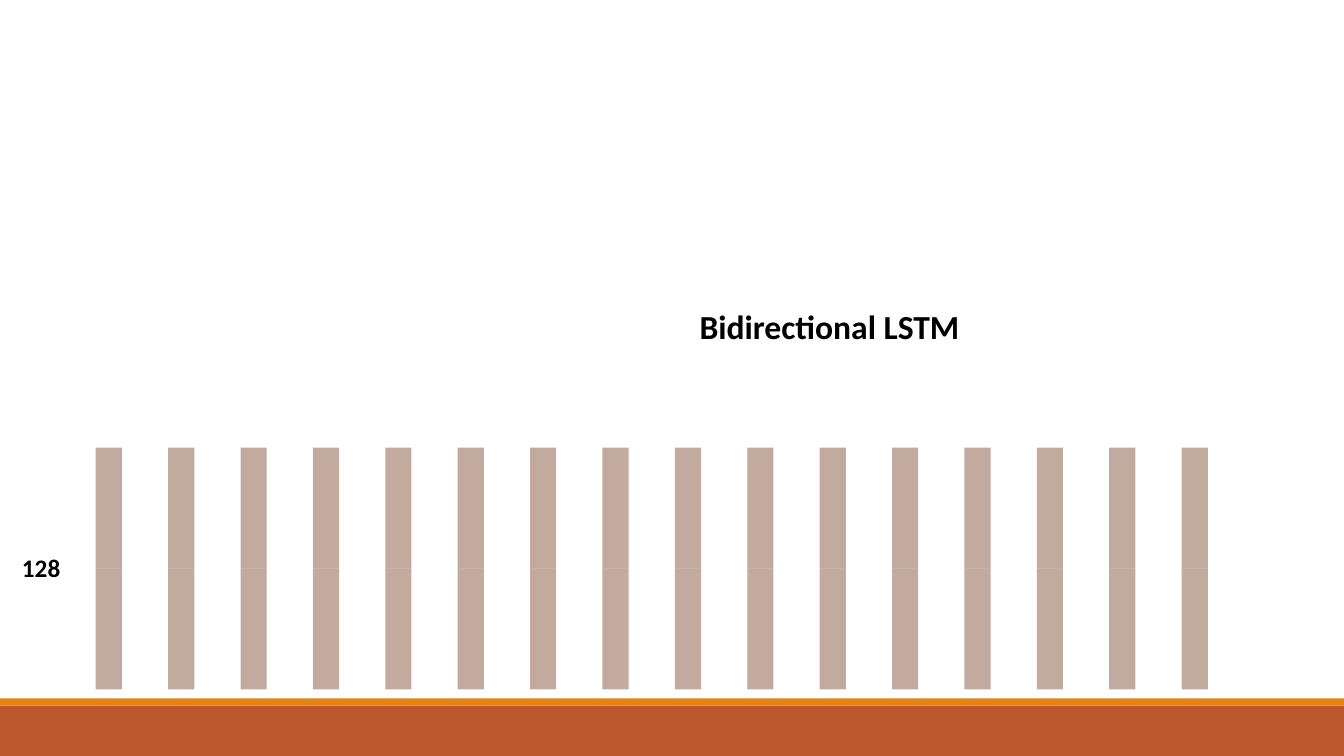
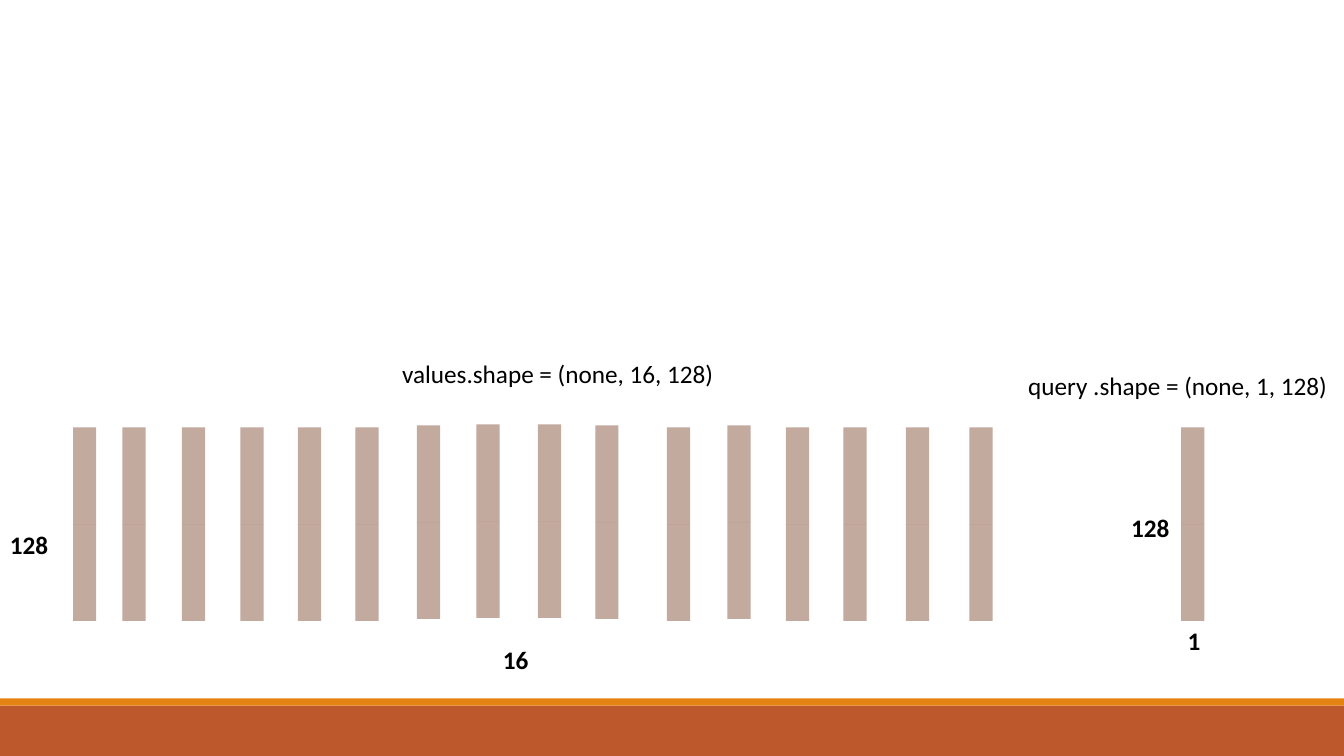
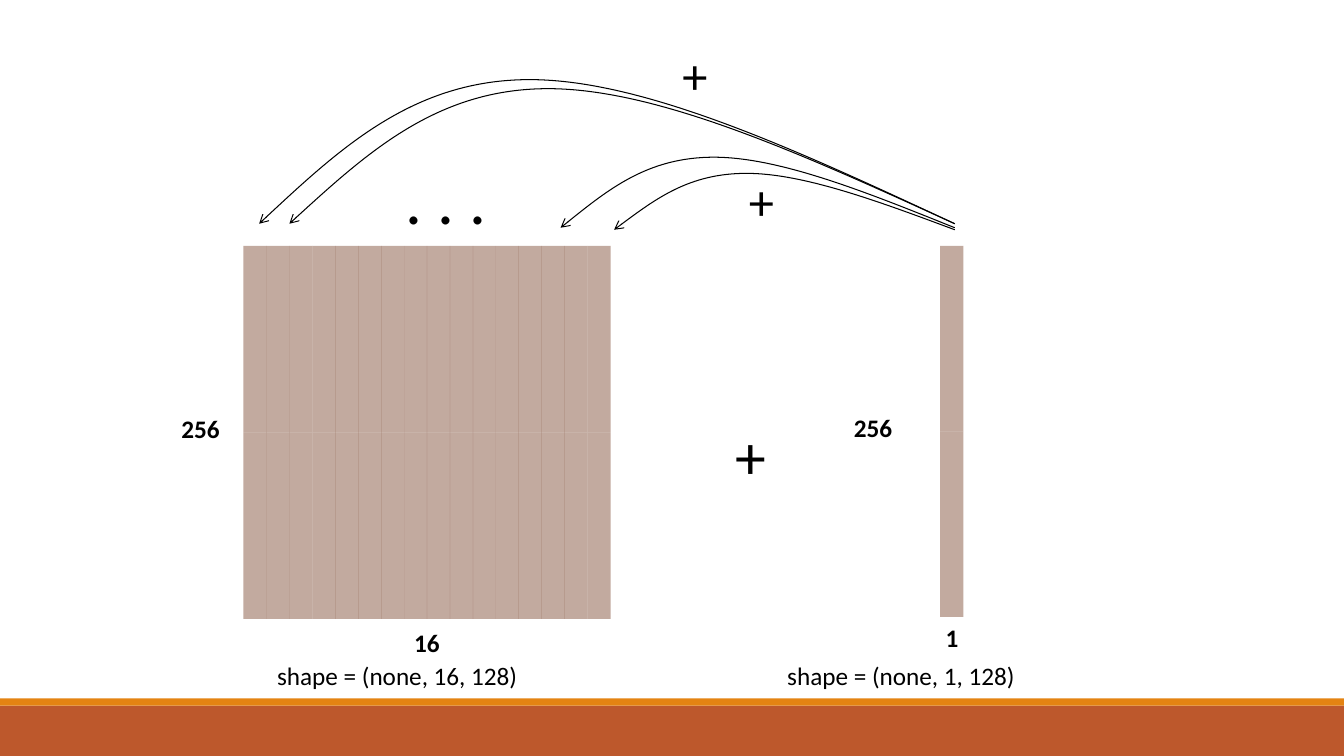
from dataclasses import dataclass

from pptx import Presentation
from pptx.dml.color import RGBColor
from pptx.enum.shapes import MSO_SHAPE
from pptx.oxml.ns import qn
from pptx.oxml.xmlchemy import OxmlElement
from pptx.presentation import Presentation as Deck
from pptx.shapes.autoshape import Shape
from pptx.slide import Slide
from pptx.util import Inches, Pt

FONT = "Calibri"
BLACK = RGBColor(0x00, 0x00, 0x00)
RUST = RGBColor(0xBD, 0x58, 0x2C)
ORANGE = RGBColor(0xE4, 0x83, 0x12)
BROWN = RGBColor(0x86, 0x56, 0x40)

SLIDE_WIDTH, SLIDE_HEIGHT = 13.33, 7.5
VECTOR_COUNT = 16


@dataclass(frozen=True)
class Vector:
    """A column of two stacked halves that meet at the height of joint."""
    center: float
    joint: float
    half_height: float
    width: float = 0.23


@dataclass(frozen=True)
class Label:
    text: str
    left: float
    top: float
    width: float
    height: float
    size: int = 18
    bold: bool = False
    wrap: bool = True


@dataclass(frozen=True)
class Arc:
    """An arched arrow that starts and ends at the height of base."""
    start: float
    end: float
    base: float
    peak: float


def dimension(text: str, left: float, top: float) -> Label:
    return Label(text, left, top, 0.66, 0.52, bold=True)


def symbol(text: str, left: float, top: float, width: float, height: float, size: int) -> Label:
    return Label(text, left, top, width, height, size, wrap=False)


def add_rectangle(slide: Slide, left: float, top: float, width: float, height: float,
                  color: RGBColor) -> Shape:
    shape = slide.shapes.add_shape(MSO_SHAPE.RECTANGLE, Inches(left), Inches(top),
                                   Inches(width), Inches(height))
    shape.shadow.inherit = False
    shape.fill.solid()
    shape.fill.fore_color.rgb = color
    shape.line.fill.background()
    return shape


def add_vector(slide: Slide, vector: Vector) -> None:
    for top in (vector.joint, vector.joint - vector.half_height):
        half = add_rectangle(slide, vector.center - vector.width / 2, top,
                             vector.width, vector.half_height, BROWN)
        alpha = OxmlElement("a:alpha")
        alpha.set("val", "50000")
        half.element.spPr.find(f"{qn('a:solidFill')}/{qn('a:srgbClr')}").append(alpha)


def add_label(slide: Slide, label: Label) -> None:
    box = slide.shapes.add_textbox(Inches(label.left), Inches(label.top),
                                   Inches(label.width), Inches(label.height))
    box.text_frame.word_wrap = label.wrap
    paragraph = box.text_frame.paragraphs[0]
    paragraph.text = label.text
    if label.bold and label.size == 18:
        paragraph.line_spacing = 1.07
        paragraph.space_after = Pt(8)
    font = paragraph.runs[0].font
    font.name = FONT
    font.size = Pt(label.size)
    font.bold = label.bold
    font.color.rgb = BLACK


def add_arc(slide: Slide, arc: Arc) -> None:
    """Draw two Bézier pieces that meet at the peak, with an arrowhead at the end."""
    middle = (arc.base + arc.peak) / 2
    heights = (middle, arc.peak, arc.peak, arc.peak, middle, arc.base)
    shares = (2 / 9, 4 / 9, 11 / 18, 7 / 9, 8 / 9, 1)
    points = [(Inches(arc.start + share * (arc.end - arc.start)), Inches(height))
              for share, height in zip(shares, heights)]
    builder = slide.shapes.build_freeform(Inches(arc.start), Inches(arc.base))
    shape = builder.add_line_segments(points, close=False).convert_to_shape()

    segments = list(shape.element.iter(qn("a:lnTo")))
    for first in range(0, len(segments), 3):
        curve = OxmlElement("a:cubicBezTo")
        segments[first].addprevious(curve)
        for segment in segments[first:first + 3]:
            curve.append(segment[0])
            segment.getparent().remove(segment)

    shape.shadow.inherit = False
    shape.fill.background()
    shape.line.color.rgb = BLACK
    shape.line.width = Pt(0.75)
    arrowhead = OxmlElement("a:tailEnd")
    arrowhead.set("type", "arrow")
    shape.element.spPr.find(qn("a:ln")).append(arrowhead)


def add_master_bands(presentation: Deck, slide: Slide) -> None:
    """Draw the bottom bands and move them to the master, so every slide shows them."""
    for top, height, color in ((7, 0.5, RUST), (6.93, 0.07, ORANGE)):
        band = add_rectangle(slide, 0, top, SLIDE_WIDTH, height, color)
        presentation.slide_master.shapes.element.append(band.element)


def fill_slide(slide: Slide, vectors: list[Vector], labels: list[Label],
               arcs: tuple[Arc, ...] = ()) -> None:
    for vector in vectors:
        add_vector(slide, vector)
    for arc in arcs:
        add_arc(slide, arc)
    for label in labels:
        add_label(slide, label)


def fill_lstm(slide: Slide) -> None:
    vectors = [Vector(1.08 + 0.718 * index, 5.64, 1.2, 0.26) for index in range(VECTOR_COUNT)]
    fill_slide(slide, vectors, [
        dimension("128", 0.12, 5.41),
        Label("Bidirectional LSTM", 6.84, 2.99, 4.33, 0.5, 24, bold=True),
    ])


def fill_values_and_query(slide: Slide) -> None:
    centers = (0.84, 1.33, 1.92, 2.5, 3.07, 3.64, 4.25, 4.84,
               5.45, 6.02, 6.73, 7.33, 7.91, 8.48, 9.1, 9.73)
    raised = {6: 0.02, 7: 0.03, 8: 0.03, 9: 0.02, 11: 0.02}
    joint, half_height = 5.2, 0.96
    values = [Vector(center, joint - raised.get(index, 0), half_height)
              for index, center in enumerate(centers)]
    query = Vector(11.83, joint, half_height)
    fill_slide(slide, [*values, query], [
        dimension("128", 0, 5.18),
        Label("query .shape = (none, 1, 128)", 10.1, 3.62, 3.46, 0.4),
        Label("values.shape = (none, 16, 128)", 3.89, 3.51, 3.33, 0.4),
        dimension("16", 4.89, 6.32),
        dimension("128", 11.12, 5.01),
        dimension("1", 11.68, 6.13),
    ])


def fill_addition(slide: Slide) -> None:
    values = [Vector(2.53 + 0.2275 * index, 4.29, 1.85) for index in range(VECTOR_COUNT)]
    query = Vector(9.44, 4.28, 1.84)
    query_top = 9.47
    fill_slide(slide, [*values, query], [
        dimension("256", 1.7, 4.03),
        Label("shape = (none, 1, 128)", 7.71, 6.5, 3.46, 0.4),
        Label("shape = (none, 16, 128)", 2.65, 6.5, 3.33, 0.4),
        dimension("16", 4.01, 6.15),
        dimension("1", 9.28, 6.1),
        dimension("256", 8.37, 4.02),
        symbol(". . .", 3.92, 1.51, 1.17, 0.91, 48),
        symbol("+", 6.67, 0.39, 0.45, 0.71, 36),
        symbol("+", 7.33, 1.64, 0.45, 0.71, 36),
        symbol("+", 7.2, 4.1, 0.51, 0.84, 44),
    ], (
        Arc(query_top, 6.09, 2.28, 1.72),
        Arc(query_top, 2.57, 2.22, 0.79),
        Arc(query_top, 2.87, 2.22, 0.88),
        Arc(query_top, 5.56, 2.26, 1.56),
    ))


def main() -> None:
    presentation = Presentation()
    presentation.slide_width = Inches(SLIDE_WIDTH)
    presentation.slide_height = Inches(SLIDE_HEIGHT)
    blank = presentation.slide_layouts.get_by_name("Blank")
    slides = [presentation.slides.add_slide(blank) for _ in range(3)]
    add_master_bands(presentation, slides[0])
    for slide, fill in zip(slides, (fill_lstm, fill_values_and_query, fill_addition)):
        fill(slide)
    presentation.save("out.pptx")


if __name__ == "__main__":
    main()
